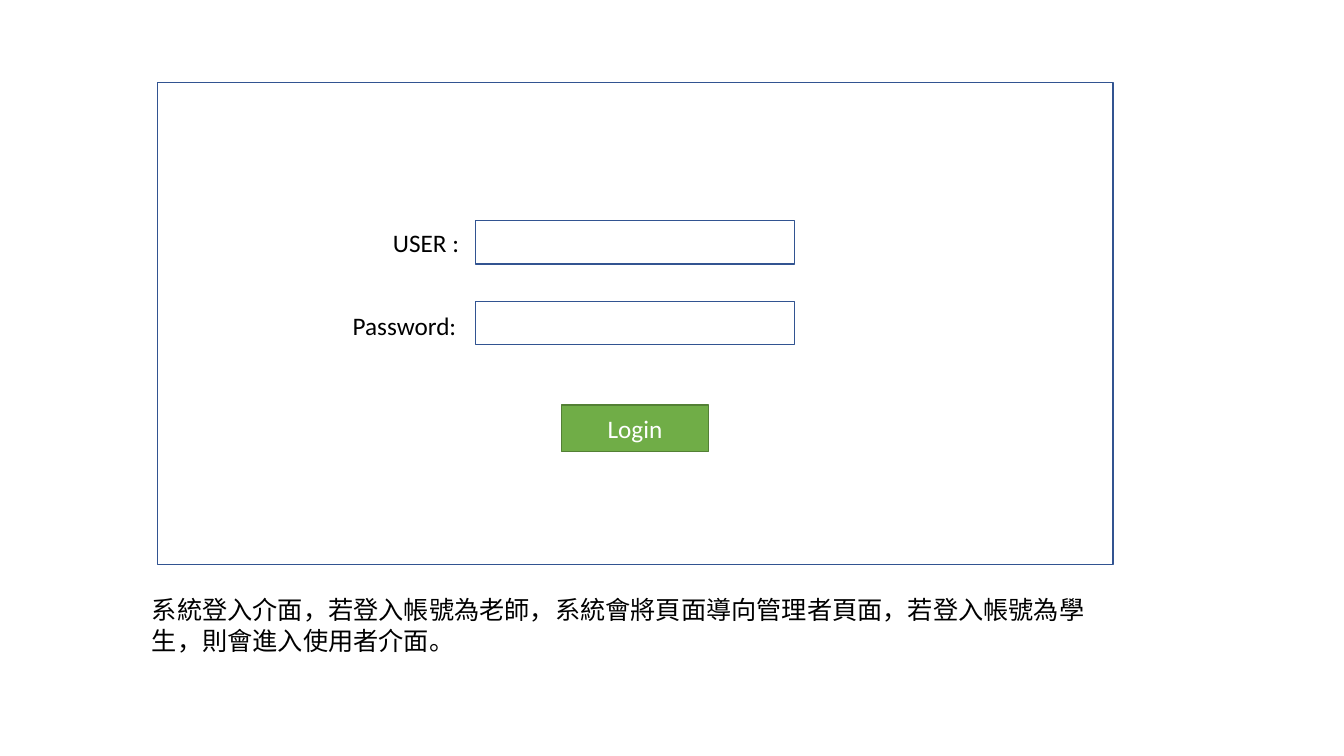
"""Builds a login screen mock-up with a caption below it."""
from dataclasses import dataclass

from pptx import Presentation
from pptx.dml.color import RGBColor
from pptx.enum.shapes import MSO_SHAPE
from pptx.enum.text import MSO_ANCHOR, PP_ALIGN
from pptx.util import Pt


@dataclass(frozen=True)
class Theme:
    font: str = "Calibri"
    size: int = 18
    text: str = "000000"
    panel: str = "FFFFFF"
    panel_line: str = "325491"
    button: str = "70AD47"
    button_line: str = "538035"
    button_text: str = "FFFFFF"


THEME = Theme()
FIELDS = [("USER :", 273.6, 159.1, 89.3), ("Password:", 244.8, 218.2, 95)]
BUTTON = "Login"
CAPTION = "系統登入介面，若登入帳號為老師，系統會將頁面導向管理者頁面，若登入帳號為學生，則會進入使用者介面。"

CENTER = 453.6
PANEL_TOP, PANEL_W, PANEL_H = 59, 682.6, 344.2
FIELD_TOP, FIELD_W, FIELD_H, FIELD_STEP = 157.7, 227.5, 31, 57.6
BUTTON_TOP, BUTTON_W, BUTTON_H = 289.4, 105.1, 33.1
LABEL_H = 28.8
CAPTION_BOX = (101.5, 421.2, 693.4, 51.1)


def write(sp, text, color, align=PP_ALIGN.LEFT):
    tf = sp.text_frame
    tf.word_wrap = True
    tf.text = text
    p = tf.paragraphs[0]
    p.alignment = align
    font = p.runs[0].font
    font.name, font.size = THEME.font, Pt(THEME.size)
    font.color.rgb = RGBColor.from_string(color)


def add_box(s, top, width, height, fill=THEME.panel, line=THEME.panel_line):
    sp = s.shapes.add_shape(MSO_SHAPE.RECTANGLE, Pt(CENTER - width / 2),
                            Pt(top), Pt(width), Pt(height))
    sp.shadow.inherit = False
    sp.fill.solid()
    sp.fill.fore_color.rgb = RGBColor.from_string(fill)
    sp.line.color.rgb = RGBColor.from_string(line)
    sp.line.width = Pt(1)
    return sp


def add_text(s, text, *box):
    write(s.shapes.add_textbox(*map(Pt, box)), text, THEME.text)


prs = Presentation()
prs.slide_width, prs.slide_height = Pt(960), Pt(540)
s = prs.slides.add_slide(prs.slide_layouts[6])

add_box(s, PANEL_TOP, PANEL_W, PANEL_H)
button = add_box(s, BUTTON_TOP, BUTTON_W, BUTTON_H, THEME.button, THEME.button_line)
write(button, BUTTON, THEME.button_text, PP_ALIGN.CENTER)
button.text_frame.vertical_anchor = MSO_ANCHOR.MIDDLE

for i, (label, left, top, width) in enumerate(FIELDS):
    add_box(s, FIELD_TOP + i * FIELD_STEP, FIELD_W, FIELD_H)
    add_text(s, label, left, top, width, LABEL_H)

add_text(s, CAPTION, *CAPTION_BOX)

prs.save("out.pptx")
